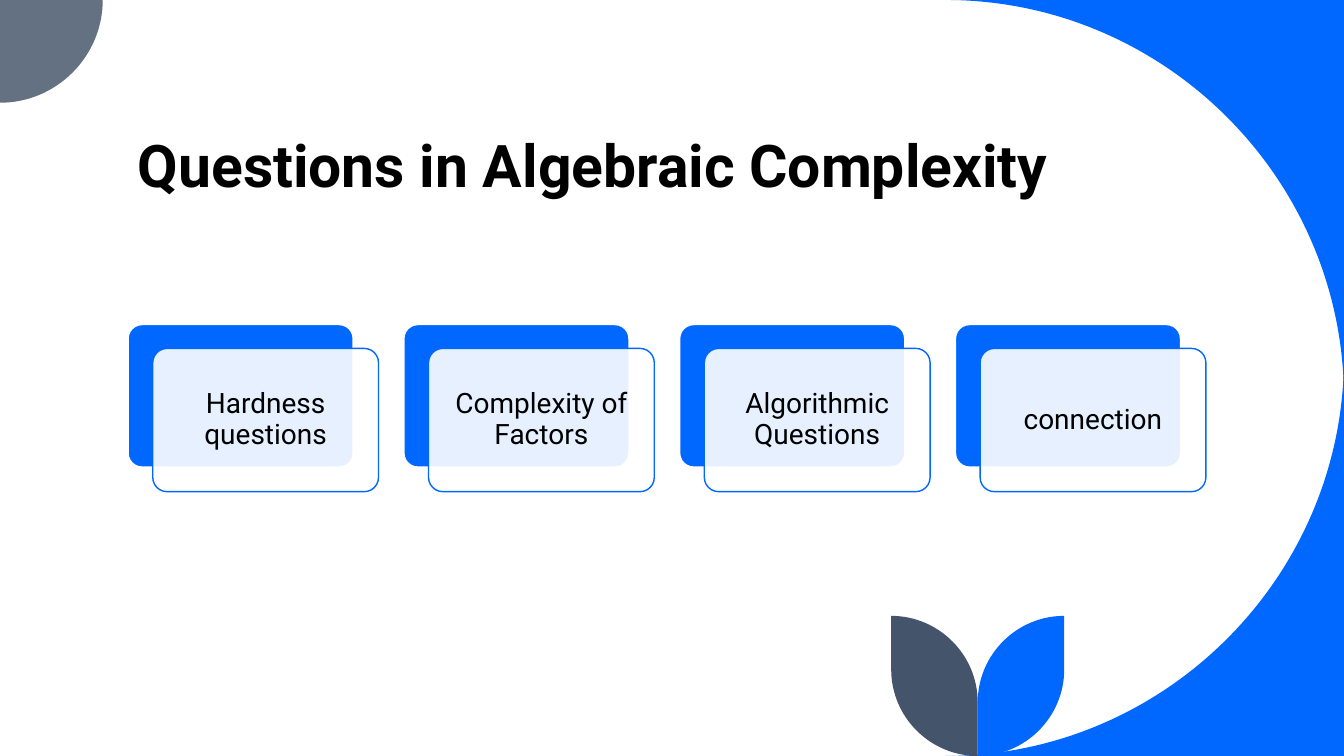
import math
from typing import NamedTuple

import lxml.etree
import pptx
import pptx.dml.color
import pptx.enum.shapes
import pptx.enum.text
import pptx.oxml.ns
import pptx.util

Cm = pptx.util.Cm
Pt = pptx.util.Pt
qn = pptx.oxml.ns.qn
Point = tuple[float, float]

COLORS = {
    "blue": "0068FF",
    "gray": "637183",
    "slate": "44546A",
    "white": "FFFFFF",
    "black": "000000",
}
FONT = "Roboto"
WIDTH, HEIGHT = 33.87, 19.05
SWEEP = 10.04
CORNER = 2.59
STEM, LEAF = 24.64, 2.18
LEFT, TOP, PITCH = 3.22, 8.17, 6.95
CARD_W, CARD_H = 5.69, 3.61
SHIFT_X, SHIFT_Y = 0.63, 0.61
INSET = 0.11
TOPICS = [
    "Hardness questions",
    "Complexity of Factors",
    "Algorithmic Questions",
    "connection",
]


class Outline(NamedTuple):
    color: str
    points: list[Point]


class Card(NamedTuple):
    left: float
    top: float
    fill: str
    line: str
    weight: float
    opacity: int = 100


def rgb(name: str) -> pptx.dml.color.RGBColor:
    return pptx.dml.color.RGBColor.from_string(COLORS[name])


def arc(x: float, y: float, radius: float, start: int) -> list[Point]:
    cos, sin = math.cos(math.radians(start)), math.sin(math.radians(start))
    bend = 0.55
    spots = [(1, 0), (1, bend), (bend, 1), (0, 1)]
    return [
        (x + radius * (u * cos - v * sin), y + radius * (u * sin + v * cos))
        for u, v in spots
    ]


def bend_lines(shape) -> None:
    lines = list(shape.element.iter(qn("a:lnTo")))
    for first in range(0, len(lines) - 2, 4):
        curve = lxml.etree.Element(qn("a:cubicBezTo"))
        lines[first].addprevious(curve)
        for line in lines[first:first + 3]:
            curve.append(line[0])
            line.getparent().remove(line)


def draw_outline(slide, item: Outline) -> None:
    spots = [(Cm(x), Cm(y)) for x, y in item.points]
    pen = slide.shapes.build_freeform(*spots[0], scale=1.0)
    pen.add_line_segments(spots[1:], close=True)
    shape = pen.convert_to_shape()
    bend_lines(shape)
    shape.shadow.inherit = False
    shape.fill.solid()
    shape.fill.fore_color.rgb = rgb(item.color)
    shape.line.fill.background()


def style_text(frame, size: float, space: float, align, bold: bool) -> None:
    frame.word_wrap = True
    frame.auto_size = pptx.enum.text.MSO_AUTO_SIZE.NONE
    para = frame.paragraphs[0]
    para.alignment = align
    para.line_spacing = space
    for run in para.runs:
        run.font.name = FONT
        run.font.size = Pt(size)
        run.font.bold = bold
        run.font.color.rgb = rgb("black")


def draw_card(slide, card: Card) -> None:
    shape = slide.shapes.add_shape(
        pptx.enum.shapes.MSO_SHAPE.ROUNDED_RECTANGLE,
        Cm(card.left), Cm(card.top), Cm(CARD_W), Cm(CARD_H),
    )
    shape.adjustments[0] = 0.1
    shape.shadow.inherit = False
    shape.fill.solid()
    shape.fill.fore_color.rgb = rgb(card.fill)
    shape.line.color.rgb = rgb(card.line)
    shape.line.width = Pt(card.weight)
    if card.opacity < 100:
        tint = shape.element.spPr.find(qn("a:solidFill")).find(qn("a:srgbClr"))
        alpha = lxml.etree.SubElement(tint, qn("a:alpha"))
        alpha.set("val", str(card.opacity * 1000))


def draw_label(slide, card: Card, text: str) -> None:
    box = slide.shapes.add_textbox(
        Cm(card.left + INSET), Cm(card.top + INSET),
        Cm(CARD_W - 2 * INSET), Cm(CARD_H - 2 * INSET),
    )
    frame = box.text_frame
    frame.text = text
    frame.margin_left = frame.margin_right = Cm(0.2)
    frame.margin_top = frame.margin_bottom = Cm(0.2)
    frame.vertical_anchor = pptx.enum.text.MSO_ANCHOR.MIDDLE
    style_text(frame, 20, 0.9, pptx.enum.text.PP_ALIGN.CENTER, False)


def draw_title(slide) -> None:
    title = slide.shapes.title
    title.left, title.top = Cm(LEFT), Cm(0.28)
    title.width, title.height = Cm(27.15), Cm(4.85)
    frame = title.text_frame
    frame.text = "Questions in Algebraic Complexity"
    frame.vertical_anchor = pptx.enum.text.MSO_ANCHOR.BOTTOM
    style_text(frame, 42, 0.8, pptx.enum.text.PP_ALIGN.LEFT, True)
    title.element.getparent().append(title.element)


def main() -> None:
    deck = pptx.Presentation()
    deck.slide_width, deck.slide_height = Cm(WIDTH), Cm(HEIGHT)
    slide = deck.slides.add_slide(deck.slide_layouts[5])

    edge = WIDTH - SWEEP
    leaf = arc(STEM, HEIGHT - LEAF, LEAF, 0) + arc(STEM + LEAF, 17.7, LEAF, 180)
    mirror = [(2 * STEM - x, y) for x, y in leaf]
    outlines = [
        Outline("blue", arc(edge, SWEEP, SWEEP, 270) + [(WIDTH, 0)]),
        Outline("blue", arc(edge, HEIGHT - SWEEP, SWEEP, 0) + [(WIDTH, HEIGHT)]),
        Outline("gray", arc(0, 0, CORNER, 0) + [(0, 0)]),
        Outline("blue", leaf),
        Outline("slate", mirror),
    ]
    for item in outlines:
        draw_outline(slide, item)

    draw_title(slide)
    for index, topic in enumerate(TOPICS):
        left = LEFT + index * PITCH
        front = Card(left + SHIFT_X, TOP + SHIFT_Y, "white", "blue", 1, 90)
        draw_card(slide, Card(left, TOP, "blue", "white", 1.5))
        draw_card(slide, front)
        draw_label(slide, front, topic)

    deck.save("out.pptx")


if __name__ == "__main__":
    main()
